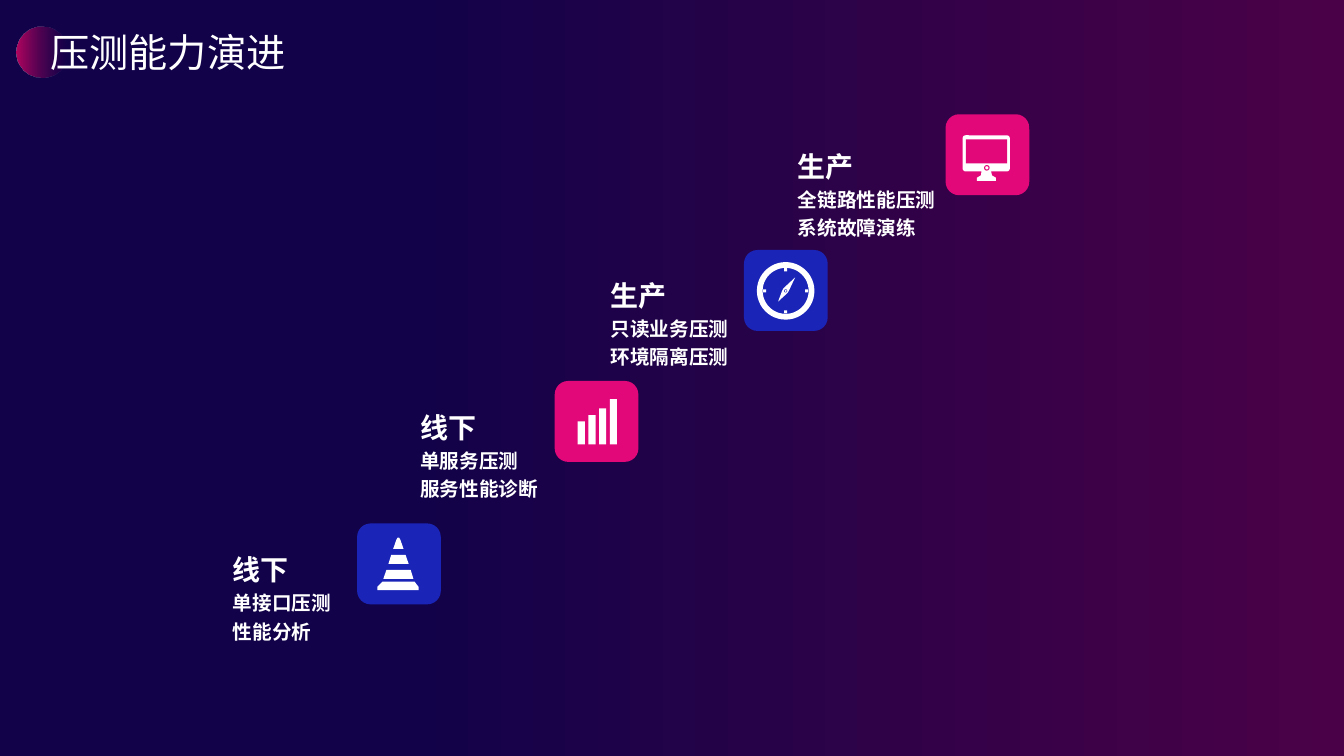
import math

import pptx
import pptx.dml.color
import pptx.enum.shapes
import pptx.enum.text
import pptx.oxml.ns
import pptx.util
from lxml import etree

Cm = pptx.util.Cm
Kind = pptx.enum.shapes.MSO_SHAPE
FONT = "Noto Sans CJK SC"
WHITE, BLUE, PINK = "FFFFFF", "1A25B8", "E2087A"
TILE_W, TILE_H = 2.11, 2.04


def color(code):
    return pptx.dml.color.RGBColor.from_string(code)


def blend(fill, stops):
    """Left-to-right gradient from (place, colour) stops."""
    fill.gradient()
    fill.gradient_angle = 0
    for stop, (place, code) in zip(fill.gradient_stops, stops):
        stop.position = place
        stop.color.rgb = color(code)


def paint(shape, code):
    shape.shadow.inherit = False
    shape.line.fill.background()
    shape.fill.solid()
    shape.fill.fore_color.rgb = color(code)
    return shape


def block(shapes, kind, x, y, w, h, code=WHITE):
    return paint(shapes.add_shape(kind, Cm(x), Cm(y), Cm(w), Cm(h)), code)


def disc(shapes, x, y, size, code=WHITE):
    """Circle around the centre x, y."""
    block(shapes, Kind.OVAL, x - size / 2, y - size / 2, size, size, code)


def outline(shapes, x, y, loops):
    """White freeform; its loops are in hundredths of a cm from x, y."""
    pen = shapes.build_freeform(*loops[0][0], scale=Cm(.01))
    for num, loop in enumerate(loops):
        if num:
            pen.move_to(*loop[0])
        pen.add_line_segments(loop[1:], close=True)
    paint(pen.convert_to_shape(Cm(x), Cm(y)), WHITE)


def style(para, size, bold=False):
    for run in para.runs:
        font = run.font
        font.name, font.size, font.bold = FONT, pptx.util.Pt(size), bold
        font.color.rgb = color(WHITE)
        east = etree.SubElement(font._element, pptx.oxml.ns.qn("a:ea"))
        east.set("typeface", FONT)


# Icons, each drawn inside the tile at x, y
def cone(shapes, x, y, code):
    outline(shapes, x, y, [
        [(51, 168), (51, 160), (64, 147), (145, 147), (155, 160), (155, 168)],
        [(66, 140), (74, 117), (135, 117), (142, 140)],
        [(79, 102), (86, 79), (122, 79), (130, 102)],
        [(91, 64), (99, 41), (102, 36), (106, 36), (109, 41), (117, 64)],
    ])


def bars(shapes, x, y, code):
    for num, high in enumerate([.58, .74, .91, 1.14]):
        block(shapes, Kind.RECTANGLE, x + .58 + .27 * num, y + 1.6 - high, .18, high)


def compass(shapes, x, y, code):
    mid, row, size = x + 1.05, y + 1.03, 1.45
    ring = block(shapes, Kind.DONUT, mid - size / 2, row - size / 2, size, size)
    ring.adjustments[0] = .1
    for turn in range(4):
        angle = turn * math.pi / 2
        block(shapes, Kind.RECTANGLE, mid + .53 * math.cos(angle) - .04,
              row + .53 * math.sin(angle) - .04, .08, .08)
    outline(shapes, mid, row, [[(-19, 27), (4, 6), (7, 2),
                                (24, -34), (-6, -6), (-9, 0)]])
    disc(shapes, mid, row, .08, code)
    disc(shapes, mid, row, .05)


def screen(shapes, x, y, code):
    frame = block(shapes, Kind.ROUNDED_RECTANGLE, x + .43, y + .53, 1.19, .91)
    frame.adjustments[0] = .08
    block(shapes, Kind.RECTANGLE, x + .51, y + .63, 1.04, .61, code)
    outline(shapes, x, y, [[(91, 140), (89, 154), (79, 160), (79, 168),
                            (127, 168), (127, 160), (117, 154), (114, 140)]])
    disc(shapes, x + 1.04, y + 1.35, .14, code)
    disc(shapes, x + 1.04, y + 1.35, .08)


def header(slide, x, y, text):
    """Fading disc with the slide title over it."""
    dot = block(slide.shapes, Kind.OVAL, x, y, 1.28, 1.28)
    blend(dot.fill, [(0, "B30660"), (1, "570152")])
    tone = list(dot._element.iter(pptx.oxml.ns.qn("a:srgbClr")))[-1]
    etree.SubElement(tone, pptx.oxml.ns.qn("a:alpha")).set("val", "0")

    title = slide.shapes.title
    title.left, title.top = Cm(x + .61), Cm(y - .08)
    title.width, title.height = Cm(6.68), Cm(1.45)
    frame = title.text_frame
    frame.text = text
    frame.auto_size = pptx.enum.text.MSO_AUTO_SIZE.NONE
    frame.vertical_anchor = pptx.enum.text.MSO_ANCHOR.TOP
    para = frame.paragraphs[0]
    para.alignment = pptx.enum.text.PP_ALIGN.LEFT
    style(para, 28)
    # Bring the title in front of the disc
    slide.shapes._spTree.append(title._element)


def stage(slide, x, y, code, icon, box, lines):
    """Tile with its icon, and the label in box (left, top, width)."""
    shapes = slide.shapes.add_group_shape().shapes
    block(shapes, Kind.ROUNDED_RECTANGLE, x, y, TILE_W, TILE_H, code)
    icon(shapes, x, y, code)
    left, top, wide = box
    frame = shapes.add_textbox(Cm(left), Cm(top), Cm(wide), Cm(2.67)).text_frame
    frame.word_wrap = False
    frame.text = "\n".join(lines)
    for num, para in enumerate(frame.paragraphs):
        para.line_spacing = 1.2
        style(para, 14 if num else 20, True)


STAGES = [
    (9, 13.19, BLUE, cone, (5.62, 13.64, 3), ["线下", "单接口压测", "性能分析"]),
    (13.98, 9.6, PINK, bars, (10.34, 10.06, 3.5), ["线下", "单服务压测", "服务性能诊断"]),
    (18.75, 6.3, BLUE, compass, (15.14, 6.72, 3.63), ["生产", "只读业务压测", "环境隔离压测"]),
    (23.83, 2.88, PINK, screen, (19.86, 3.48, 4.01), ["生产", "全链路性能压测", "系统故障演练"]),
]


def main():
    deck = pptx.Presentation()
    deck.slide_width, deck.slide_height = Cm(33.87), Cm(19.05)
    slide = deck.slides.add_slide(deck.slide_layouts[5])
    blend(slide.background.fill, [(.3, "120249"), (1, "4B0147")])
    header(slide, .41, .67, "压测能力演进")
    for step in STAGES:
        stage(slide, *step)
    deck.save("out.pptx")


if __name__ == "__main__":
    main()
